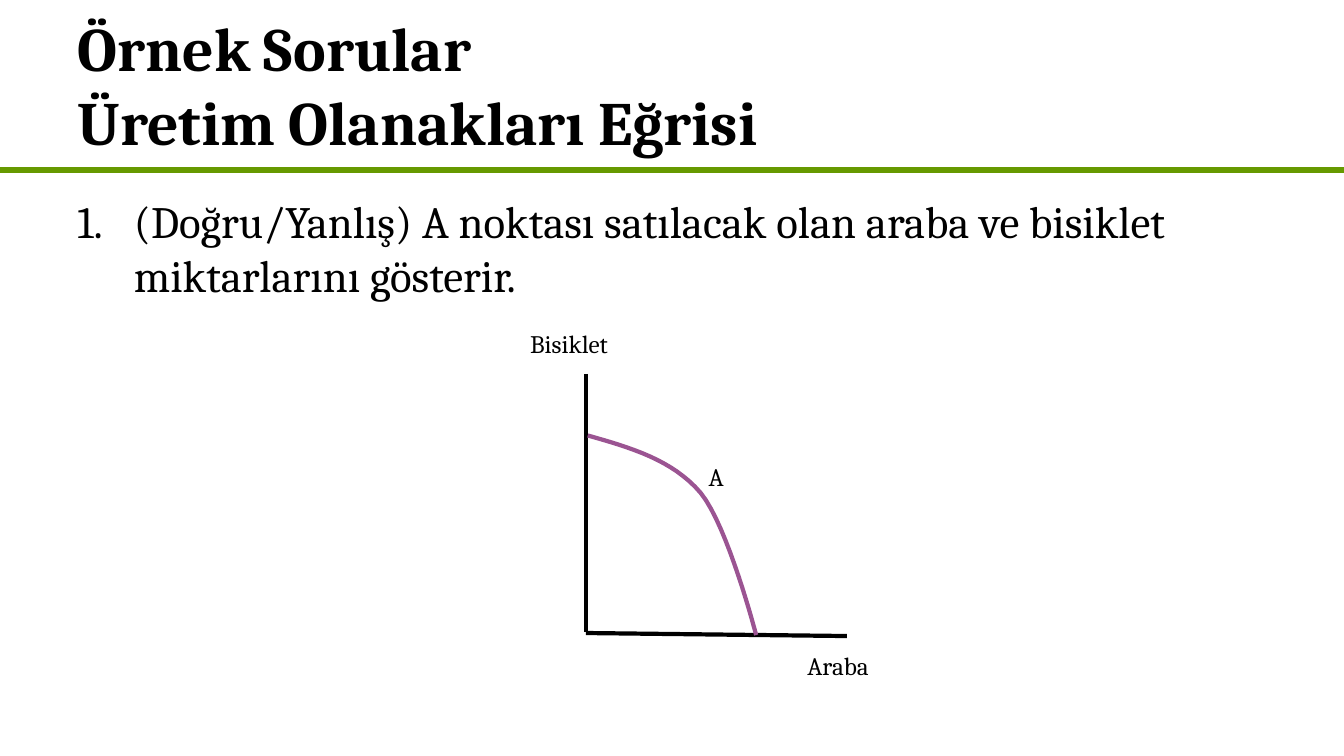
import pptx
import pptx.dml.color
import pptx.enum.shapes
import pptx.enum.text
import pptx.util
from lxml import etree
from pptx.oxml.ns import qn

Inches = pptx.util.Inches
FONT = "Cambria"
BLACK, WHITE, GREEN, PURPLE = "000000", "FFFFFF", "669900", "9B5492"


def color(hex_string):
    return pptx.dml.color.RGBColor.from_string(hex_string)


def add_text(s, text, x, y, w, h, size=18, bold=False, wrap=True, anchor="TOP"):
    box = s.shapes.add_textbox(Inches(x), Inches(y), Inches(w), Inches(h))
    tf = box.text_frame
    tf.word_wrap = wrap
    tf.vertical_anchor = pptx.enum.text.MSO_ANCHOR[anchor]
    p = tf.paragraphs[0]
    p.text = text
    for r in p.runs:
        r.font.name = FONT
        r.font.size = pptx.util.Pt(size)
        r.font.bold = bold
        r.font.color.rgb = color(BLACK)
    return p


def add_line(s, x1, y1, x2, y2, hex_string=BLACK, width=3):
    line = s.shapes.add_connector(
        pptx.enum.shapes.MSO_CONNECTOR.STRAIGHT,
        Inches(x1), Inches(y1), Inches(x2), Inches(y2))
    line.line.color.rgb = color(hex_string)
    line.line.width = pptx.util.Pt(width)
    etree.SubElement(line._element.spPr, qn("a:effectLst"))


def bezier(p0, p1, p2, p3, steps=16):
    """Points along a cubic curve, without its start."""
    for i in range(1, steps + 1):
        t = i / steps
        u = 1 - t
        yield tuple(u**3 * a + 3 * u * u * t * b + 3 * u * t * t * c + t**3 * d
                    for a, b, c, d in zip(p0, p1, p2, p3))


def add_header(s, x, y, w, h):
    add_text(s, "Örnek Sorular\vÜretim Olanakları Eğrisi", x, y, w, h,
             size=44, bold=True, anchor="MIDDLE")
    add_line(s, 0, y + h + 0.02, 13.33, y + h + 0.02, GREEN, 4.5)


def add_question(s, x, y, w, h):
    p = add_text(s, "(Doğru/Yanlış) A noktası satılacak olan araba ve bisiklet "
                 "miktarlarını gösterir.", x, y, w, h, size=32)
    # Hanging number
    pPr = p._p.get_or_add_pPr()
    pPr.set("marL", str(Inches(0.56)))
    pPr.set("indent", str(-Inches(0.56)))
    etree.SubElement(pPr, qn("a:buFont"), typeface=FONT)
    etree.SubElement(pPr, qn("a:buAutoNum"), type="arabicPeriod")


def add_frontier_diagram(s, x, y, w, h):
    # Axes
    add_line(s, x, y, x, y + h - 0.04)
    add_line(s, x + w, y + h, x, y + h - 0.03)

    # Labels
    for text, dx, dy, width in (("Bisiklet", -0.65, -0.5, 1.4),
                                ("Araba", 2.1, 2.69, 1.1),
                                ("A", 1.12, 0.82, 0.5)):
        add_text(s, text, x + dx, y + dy, width, 0.4, wrap=False)

    # Production possibilities curve
    start, c1, c2, middle, c3, c4, end = [
        (x + dx, y + dy) for dx, dy in (
            (0.02, 0.61), (0.44, 0.73), (0.86, 0.85), (1.14, 1.18),
            (1.41, 1.51), (1.69, 2.59), (1.69, 2.59))]
    points = [*bezier(start, c1, c2, middle), *bezier(middle, c3, c4, end)]
    fb = s.shapes.build_freeform(Inches(start[0]), Inches(start[1]))
    fb.add_line_segments([(Inches(px), Inches(py)) for px, py in points], close=False)
    curve = fb.convert_to_shape()
    curve.shadow.inherit = False
    curve.fill.solid()
    curve.fill.fore_color.rgb = color(WHITE)
    curve.line.color.rgb = color(PURPLE)
    curve.line.width = pptx.util.Pt(3)


def main():
    prs = pptx.Presentation()
    prs.slide_width, prs.slide_height = Inches(13.33), Inches(7.5)
    s = prs.slides.add_slide(prs.slide_layouts[6])
    add_header(s, 0.67, 0, 12, 1.67)
    add_question(s, 0.67, 1.87, 12, 5.35)
    add_frontier_diagram(s, 5.81, 3.71, 2.59, 2.6)
    prs.save("out.pptx")


if __name__ == "__main__":
    main()
